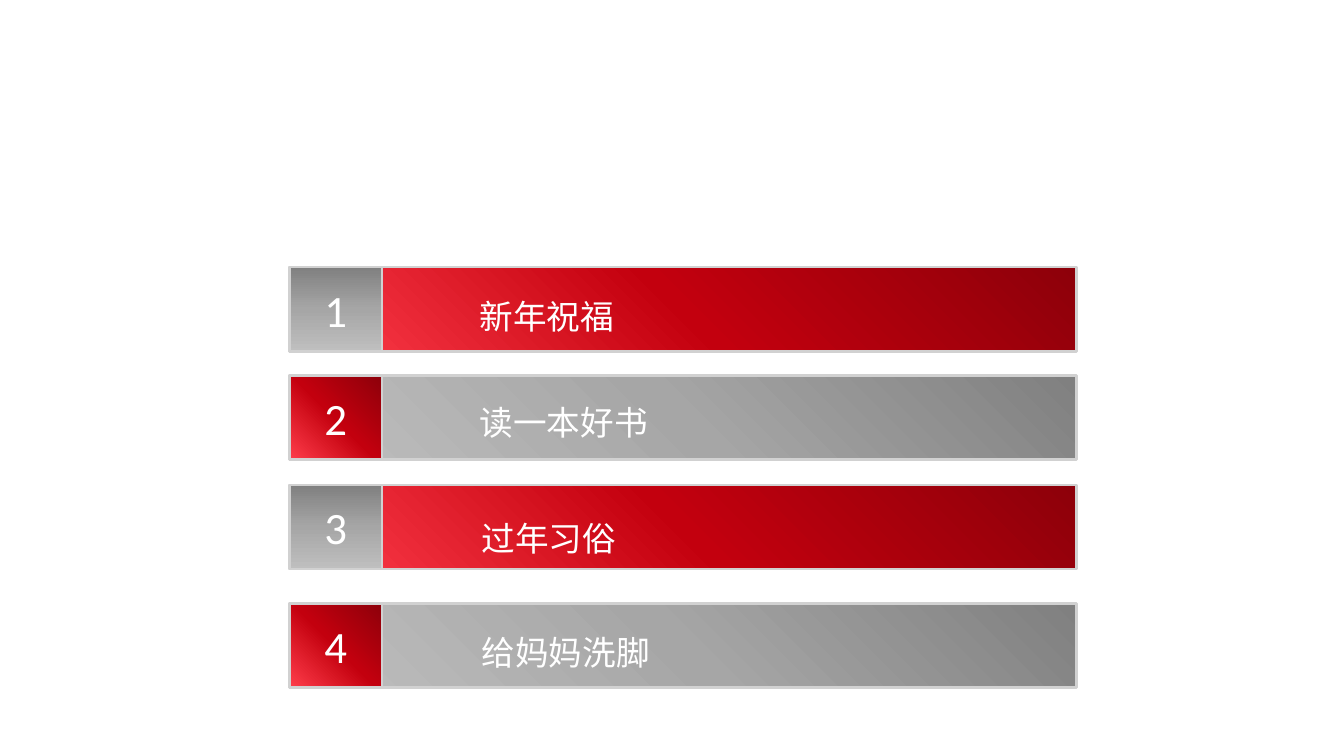
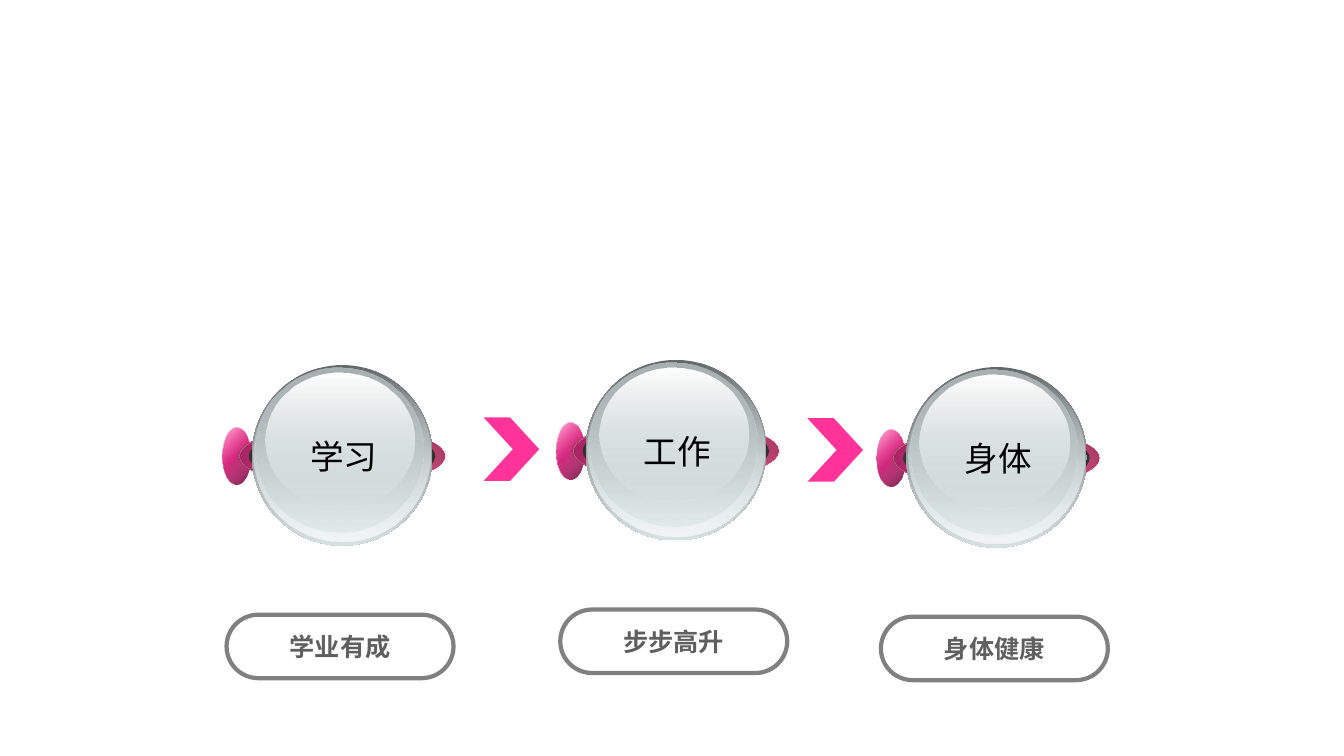
import pptx
import pptx.dml.color
import pptx.enum.shapes
import pptx.enum.text
import pptx.oxml
import pptx.oxml.ns
import pptx.util
from pptx.util import Cm

SHAPE = pptx.enum.shapes.MSO_SHAPE
ALIGN = pptx.enum.text.PP_ALIGN

COLORS = {
    "white": "FFFFFF", "black": "000000", "frame": "D1D1D1",
    "gray": "808080", "mid_gray": "A6A6A6", "light_gray": "BFBFBF",
    "dark_red": "8D000A", "red": "C3000E", "light_red": "FF3E4B",
    "pink": "FF3399", "plum": "761847", "wine": "8A3753",
    "rose": "FF6699", "berry": "A22061", "charcoal": "333333",
    "steel": "636869", "silver": "AAB2B3", "mist": "D6E1E2",
    "pearl": "F1F5F5", "caption": "5F5F5F",
}

# Gradient stops: position, colour, opacity (all in percent)
GRAY_STOPS = [(0, "gray", 100), (50, "mid_gray", 100), (100, "light_gray", 100)]
RED_STOPS = [(0, "dark_red", 100), (50, "red", 100), (100, "light_red", 100)]

# Sphere layers from back to front: offset from the cap, size, fill, angle
SPHERE_LAYERS = [
    (0, 0, 0.71, 1.45,
     [(0, "white", 100), (50, "pink", 100), (100, "white", 100)], 45),
    (0, 0, 0.71, 1.45, [(0, "pink", 32), (100, "plum", 100)], 45),
    (0.39, 0, 5.21, 1.45,
     [(0, "wine", 100), (50, "rose", 100), (100, "wine", 100)], 315),
    (0.43, 0, 5.21, 1.45, [(0, "berry", 100), (100, "pink", 0)], 45),
    (0.66, 0, 4.7, 1.45, "charcoal", 0),
    (0.74, -1.57, 4.55, 4.55, [(0, "steel", 100), (100, "mist", 100)], 90),
    (0.79, -1.55, 4.45, 4.42, [(0, "mist", 0), (100, "pearl", 100)], 90),
    (0.84, -1.5, 4.22, 4.14, [(0, "silver", 100), (100, "mist", 48)], 90),
    (1.08, -1.37, 3.76, 3.38, [(0, "white", 100), (100, "mist", 38)], 90),
]


def rgb(name):
    return pptx.dml.color.RGBColor.from_string(COLORS[name])


class Deck:
    """Holds the presentation, the current slide and the shared style."""

    def __init__(self):
        self.prs = pptx.Presentation()
        self.prs.slide_width, self.prs.slide_height = Cm(33.87), Cm(19.05)
        self.s = None

    def new_slide(self):
        self.s = self.prs.slides.add_slide(self.prs.slide_layouts[6])

    def group(self):
        return self.s.shapes.add_group_shape()

    def gradient(self, sp, stops, angle):
        """Fill with a linear gradient; the angle runs clockwise."""
        marks = "".join(
            f'<a:gs pos="{pos * 1000}"><a:srgbClr val="{COLORS[color]}">'
            f'<a:alpha val="{opacity * 1000}"/></a:srgbClr></a:gs>'
            for pos, color, opacity in stops)
        fill = pptx.oxml.parse_xml(
            f'<a:gradFill {pptx.oxml.ns.nsdecls("a")} rotWithShape="1">'
            f'<a:gsLst>{marks}</a:gsLst>'
            f'<a:lin ang="{angle * 60000}" scaled="0"/></a:gradFill>')
        sp._element.spPr.find(pptx.oxml.ns.qn("a:prstGeom")).addnext(fill)

    def shape(self, kind, x, y, w, h, fill=None, angle=0, line=None,
              parent=None, adj=None):
        """Fill is a colour name, a list of gradient stops or None."""
        shapes = (parent or self.s).shapes
        sp = shapes.add_shape(kind, Cm(x), Cm(y), Cm(w), Cm(h))
        sp.shadow.inherit = False
        if adj is not None:
            sp.adjustments[0] = adj
        if fill is None:
            sp.fill.background()
        elif isinstance(fill, str):
            sp.fill.solid()
            sp.fill.fore_color.rgb = rgb(fill)
        else:
            self.gradient(sp, fill, angle)
        if line:
            sp.line.color.rgb = rgb(line[0])
            sp.line.width = pptx.util.Pt(line[1])
        else:
            sp.line.fill.background()
        return sp

    def label(self, sp, text, size, font, color, bold=False, wrap=True,
              align=ALIGN.CENTER, spacing=None):
        """Put one styled run of text into a shape."""
        tf = sp.text_frame
        tf.word_wrap = wrap
        p = tf.paragraphs[0]
        p.alignment = align
        if spacing:
            p.line_spacing = spacing
        r = p.add_run()
        r.text = text
        r.font.size = pptx.util.Pt(size)
        r.font.bold = bold
        r.font.color.rgb = rgb(color)
        r.font.name = font
        r._r.get_or_add_rPr().append(pptx.oxml.parse_xml(
            f'<a:ea {pptx.oxml.ns.nsdecls("a")} typeface="{font}"/>'))

    def text(self, x, y, w, h, text, font, color, parent=None, **style):
        shapes = (parent or self.s).shapes
        sp = shapes.add_textbox(Cm(x), Cm(y), Cm(w), Cm(h))
        self.label(sp, text, 24, font, color, align=ALIGN.LEFT, **style)
        sp.text_frame.auto_size = pptx.enum.text.MSO_AUTO_SIZE.SHAPE_TO_FIT_TEXT

    def agenda_bar(self, number, y):
        odd = number % 2 == 1
        bar_fill, box_fill = (RED_STOPS, GRAY_STOPS) if odd else (GRAY_STOPS, RED_STOPS)
        bar = self.group()
        frame = ("frame", 2)
        self.shape(SHAPE.RECTANGLE, 7.29, y, 19.84, 2.12, bar_fill, 135,
                   frame, bar)
        box = self.shape(SHAPE.RECTANGLE, 7.29, y, 2.34, 2.12, box_fill,
                         90 if odd else 135, frame, bar)
        self.label(box, str(number), 32, "Calibri", "white")

    def sphere(self, x, y, title):
        ball = self.group()
        for dx, dy, w, h, fill, angle in SPHERE_LAYERS:
            self.shape(SHAPE.OVAL, x + dx, y + dy, w, h, fill, angle, parent=ball)
        self.text(x + 1.96, y + 0.1, 2.21, 1.3, title, "Arial", "black",
                  parent=ball, wrap=False)

    def pill(self, x, y, text):
        sp = self.shape(SHAPE.ROUNDED_RECTANGLE, x, y, 5.72, 1.6,
                        line=("gray", 3), adj=0.5)
        self.label(sp, text, 18, "DejaVu Sans", "caption", bold=True, wrap=False)

    def chevron(self, x, y):
        self.shape(SHAPE.CHEVRON, x, y, 1.4, 1.6, "pink", adj=0.525)


def agenda_slide(deck):
    deck.new_slide()
    topics = [
        (6.73, 11.84, 7.14, "新年祝福"),
        (9.47, 11.84, 9.8, "读一本好书"),
        (12.22, 11.89, 12.73, "过年习俗"),
        (15.21, 11.89, 15.6, "给妈妈洗脚"),
    ]
    for number, (bar_y, x, y, topic) in enumerate(topics, 1):
        deck.agenda_bar(number, bar_y)
        deck.text(x, y, 12.47, 1.37, topic, "Noto Sans CJK SC", "white",
                  spacing=1.2)


def wishes_slide(deck):
    deck.new_slide()
    wishes = [
        (5.61, 10.77, "学习", "学业有成"),
        (14.02, 10.64, "工作", "步步高升"),
        (22.1, 10.82, "身体", "身体健康"),
    ]
    for x, y, title, wish in wishes:
        deck.pill(x + 0.1, y + 4.72, wish)
        deck.sphere(x, y, title)
    for x, y in [(12.19, 10.52), (20.35, 10.54)]:
        deck.chevron(x, y)


def main():
    deck = Deck()
    agenda_slide(deck)
    wishes_slide(deck)
    deck.prs.save("out.pptx")


if __name__ == "__main__":
    main()
